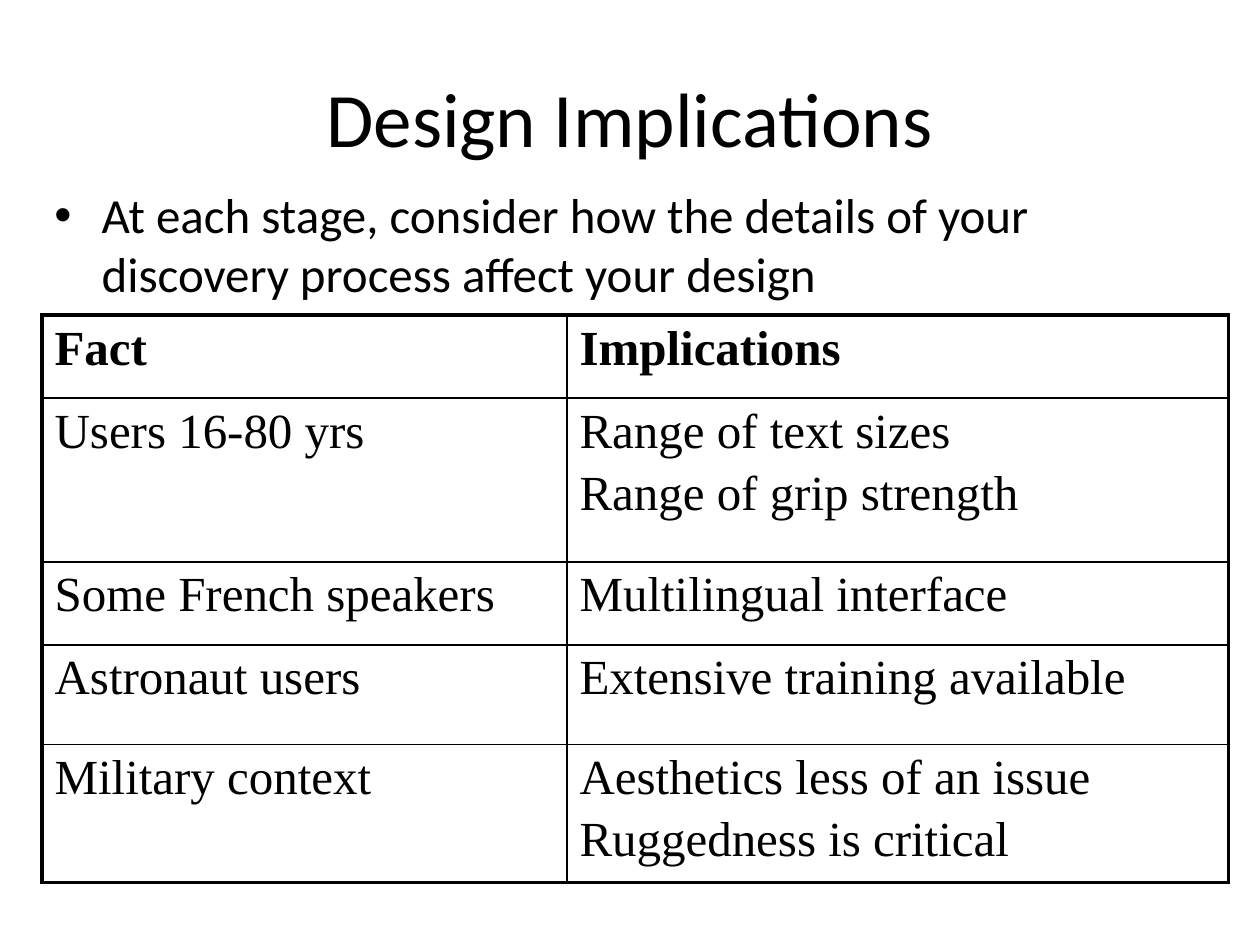
from dataclasses import dataclass

from lxml import etree
from pptx import Presentation
from pptx.dml.color import RGBColor
from pptx.enum.text import MSO_ANCHOR, PP_ALIGN
from pptx.oxml.ns import qn
from pptx.util import Pt

MIDDLE = MSO_ANCHOR.MIDDLE
CENTER = PP_ALIGN.CENTER


@dataclass(frozen=True)
class Theme:
    """Fonts, colours, type sizes and line widths of the slide."""
    ink: str = "000000"
    sans: str = "Calibri"
    serif: str = "Times New Roman"
    title_size: float = 44
    text_size: float = 28
    paragraph_gap: float = 4.4
    indent: float = 27
    outer_line: float = 2.25
    inner_line: float = 1


THEME = Theme()
ROWS = [
    ("Fact", ["Implications"], 47.5),
    ("Users 16-80 yrs", ["Range of text sizes", "Range of grip strength"], 93.6),
    ("Some French speakers", ["Multilingual interface"], 47.5),
    ("Astronaut users", ["Extensive training available"], 56.9),
    ("Military context", ["Aesthetics less of an issue", "Ruggedness is critical"], 75),
]
COLUMN_WIDTHS = (300, 378)


def set_font(para, name, size, bold=False):
    """Set the font of a whole paragraph."""
    para.font.name = name
    para.font.size = Pt(size)
    para.font.bold = bold
    para.font.color.rgb = RGBColor.from_string(THEME.ink)


def add_text(page, box, text):
    """Add a wrapping text box and return its frame."""
    frame = page.shapes.add_textbox(*map(Pt, box)).text_frame
    frame.word_wrap = True
    frame.text = text
    return frame


def add_title(page, box):
    """Place the centred slide title in its box."""
    frame = add_text(page, box, "Design Implications")
    frame.vertical_anchor = MIDDLE
    para = frame.paragraphs[0]
    para.alignment = CENTER
    set_font(para, THEME.sans, THEME.title_size)


def add_bullet(page, box):
    """Place the bulleted statement in its box."""
    frame = add_text(
        page, box,
        "At each stage, consider how the details of your discovery process affect your design")
    para = frame.paragraphs[0]
    properties = para._p.get_or_add_pPr()
    properties.set("marL", str(Pt(THEME.indent)))
    properties.set("indent", str(Pt(-THEME.indent)))
    etree.SubElement(properties, qn("a:buFont"), typeface="Arial")
    etree.SubElement(properties, qn("a:buChar"), char="•")
    set_font(para, THEME.sans, THEME.text_size)


def set_borders(cell, outer_sides):
    """Draw the cell borders, heavier on the outer sides of the table."""
    properties = cell._tc.get_or_add_tcPr()
    for side in "LRTB":
        width = THEME.outer_line if side in outer_sides else THEME.inner_line
        line = etree.SubElement(properties, qn(f"a:ln{side}"), w=str(Pt(width)))
        fill = etree.SubElement(line, qn("a:solidFill"))
        etree.SubElement(fill, qn("a:srgbClr"), val=THEME.ink)


def fill_cell(cell, lines, outer_sides, bold):
    """Write the cell lines and set borders and fill."""
    cell.text = "\n".join(lines)
    for number, para in enumerate(cell.text_frame.paragraphs):
        if number:
            para.space_before = Pt(THEME.paragraph_gap)
        set_font(para, THEME.serif, THEME.text_size, bold)
    set_borders(cell, outer_sides)
    cell.fill.background()


def add_fact_table(page, left, top):
    """Place the table of facts and implications at a corner point."""
    width = sum(COLUMN_WIDTHS)
    height = sum(row_height for _, _, row_height in ROWS)
    table = page.shapes.add_table(
        len(ROWS), len(COLUMN_WIDTHS), Pt(left), Pt(top), Pt(width), Pt(height)).table
    table.first_row = table.horz_banding = False
    for column, column_width in zip(table.columns, COLUMN_WIDTHS):
        column.width = Pt(column_width)
    for index, (fact, implications, row_height) in enumerate(ROWS):
        table.rows[index].height = Pt(row_height)
        edge = {0: "T", len(ROWS) - 1: "B"}.get(index, "")
        fill_cell(table.cell(index, 0), [fact], "L" + edge, index == 0)
        fill_cell(table.cell(index, 1), implications, "R" + edge, index == 0)


def main():
    """Build the slide and save the deck."""
    deck = Presentation()
    deck.slide_width, deck.slide_height = Pt(720), Pt(540)
    page = deck.slides.add_slide(deck.slide_layouts[6])
    add_title(page, (36, 21.6, 648, 90))
    add_bullet(page, (24, 102, 656, 408))
    add_fact_table(page, 24, 180)
    deck.save("out.pptx")


if __name__ == "__main__":
    main()
